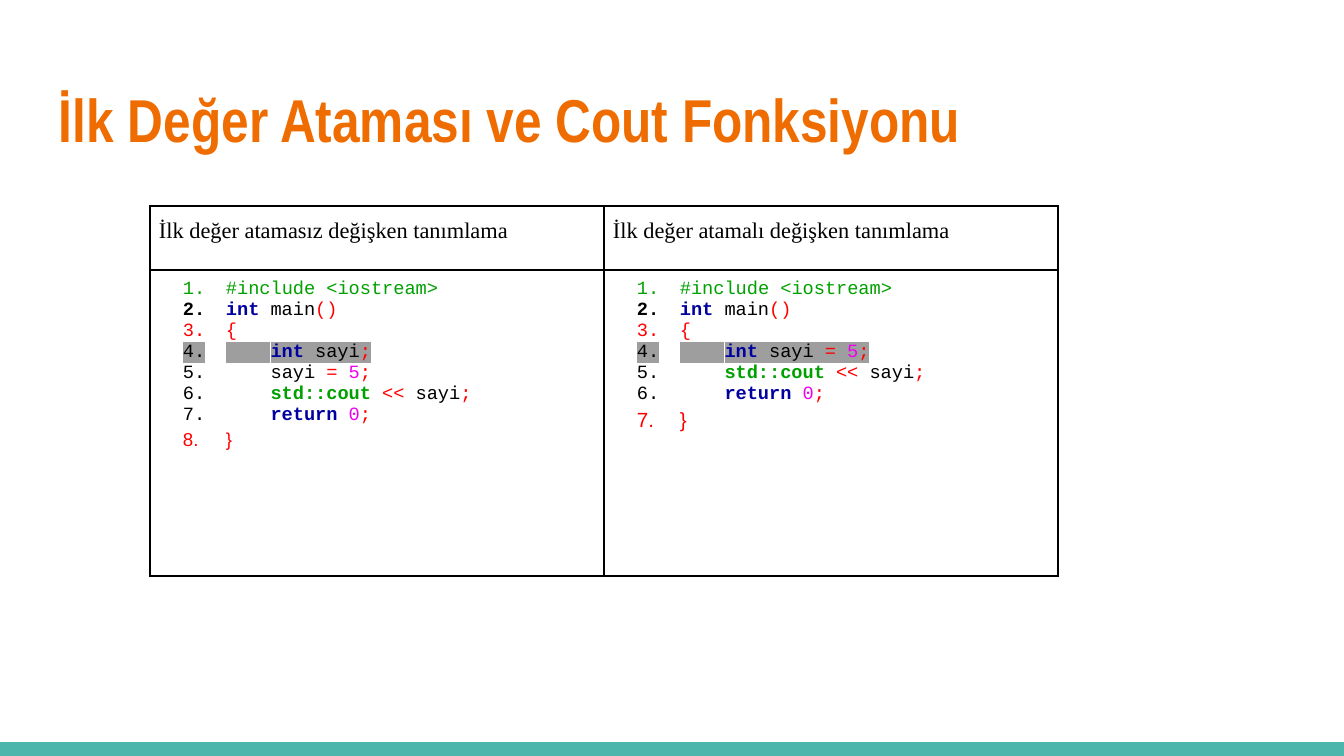
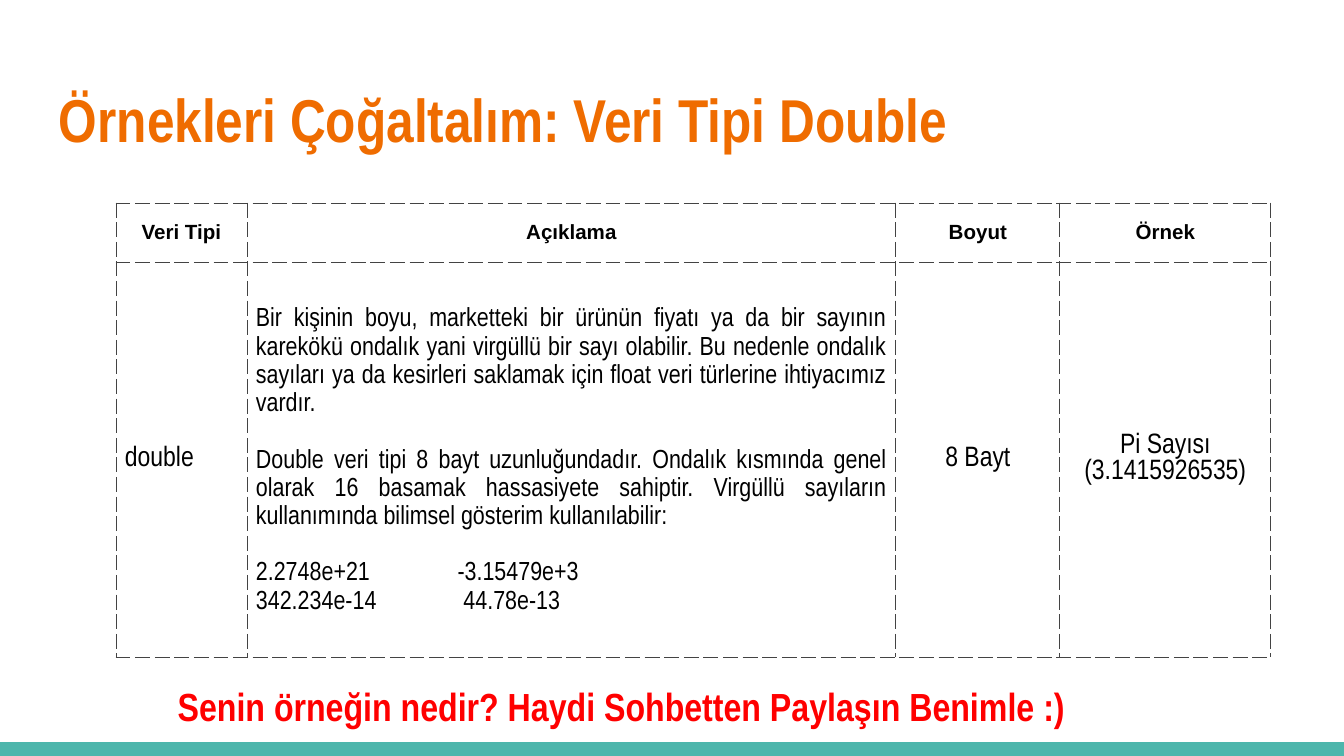
from lxml.etree import SubElement
from pptx import Presentation
from pptx.dml.color import RGBColor
from pptx.enum.shapes import MSO_SHAPE
from pptx.enum.text import MSO_ANCHOR as ANCHOR, MSO_AUTO_SIZE as AUTO_SIZE, PP_ALIGN as ALIGN
from pptx.oxml import parse_xml
from pptx.oxml.ns import nsdecls, qn
from pptx.util import Pt

PX = 6804  # EMU in one px; a slide is 1344 x 756 px
rgb = RGBColor.from_string

TEAL, ORANGE, RED, BLACK = "4DB6AC", "EF6C00", "FF0000", "000000"
GREEN, NAVY, MAGENTA, GREY = "00A000", "0000A0", "F000F0", "9E9E9E"
NARROW, SANS, SERIF, MONO = "Arial Narrow", "Arial", "Times New Roman", "Courier New"


def add_run(paragraph, text, font, size, colour=BLACK, bold=False, highlight=None):
    run = paragraph.add_run()
    run.text = text
    run.font.name, run.font.size, run.font.bold = font, Pt(size), bold
    run.font.color.rgb = rgb(colour)
    if highlight:
        run.font._element.find(qn("a:solidFill")).addnext(parse_xml(
            f'<a:highlight {nsdecls("a")}><a:srgbClr val="{highlight}"/></a:highlight>'))


def add_grid(slide, left, top, widths, heights, anchor, inset_y, line, points, dash):
    grid = slide.shapes.add_table(len(heights), len(widths), left * PX, top * PX,
                                  sum(widths) * PX, sum(heights) * PX).table
    grid.first_row = grid.horz_banding = False
    for column, width in zip(grid.columns, widths):
        column.width = width * PX
    for row, height in zip(grid.rows, heights):
        row.height = height * PX
    for cell in grid.iter_cells():
        cell.fill.background()
        cell.vertical_anchor = anchor
        cell.margin_left = cell.margin_right = 9 * PX
        cell.margin_top = cell.margin_bottom = inset_y * PX
        for place, side in enumerate("LRTB"):
            cell._tc.tcPr.insert(place, parse_xml(
                f'<a:ln{side} {nsdecls("a")} w="{Pt(points)}"><a:solidFill><a:srgbClr val="{line}"/>'
                f'</a:solidFill><a:prstDash val="{dash}"/></a:ln{side}>'))
    return grid


deck = Presentation()
deck.slide_width, deck.slide_height = 1344 * PX, 756 * PX

# Title and bottom band on every slide
slides = []
for heading in ("İlk Değer Ataması ve Cout Fonksiyonu", "Örnekleri Çoğaltalım: Veri Tipi Double"):
    slide = deck.slides.add_slide(deck.slide_layouts[5])
    band = slide.shapes.add_shape(MSO_SHAPE.RECTANGLE, 0, 742 * PX, 1344 * PX, 14 * PX)
    band.shadow.inherit = False
    band.fill.solid()
    band.fill.fore_color.rgb = rgb(TEAL)
    band.line.fill.background()

    title = slide.shapes.title
    title.left, title.top, title.width, title.height = 46 * PX, 66 * PX, 1253 * PX, 104 * PX
    frame = title.text_frame
    frame.auto_size, frame.vertical_anchor = AUTO_SIZE.NONE, ANCHOR.MIDDLE
    frame.margin_left = frame.margin_right = frame.margin_top = frame.margin_bottom = 13 * PX
    frame.paragraphs[0].alignment = ALIGN.LEFT
    add_run(frame.paragraphs[0], heading, NARROW, 32.4, ORANGE, True)
    slides.append(slide)
code_slide, double_slide = slides

# Slide 1: the same program with and without an initial value
plain, sign, number = (BLACK, False), (RED, False), (MAGENTA, False)
keyword, library, directive = (NAVY, True), (GREEN, True), (GREEN, False)
indent = ("    ", plain)
opening = [
    [("#include <iostream>", directive)],
    [("int ", keyword), ("main", plain), ("()", sign)],
    [("{", sign)],
]
closing = [
    [indent, ("std::cout ", library), ("<< ", sign), ("sayi", plain), (";", sign)],
    [indent, ("return ", keyword), ("0", number), (";", sign)],
    [("}", sign)],
]
without_value = [
    [indent, ("int ", keyword), ("sayi", plain), (";", sign)],
    [("    sayi ", plain), ("= ", sign), ("5", number), (";", sign)],
]
with_value = [
    [indent, ("int ", keyword), ("sayi ", plain), ("=", sign), (" ", plain),
     ("5", number), (";", sign)],
]
programs = [
    ("İlk değer atamasız değişken tanımlama", without_value, 10),
    ("İlk değer atamalı değişken tanımlama", with_value, 11),
]
listing = add_grid(code_slide, 150, 206, [454, 454], [64, 306], ANCHOR.TOP, 9, BLACK, 1, "solid")
for column, (caption, declaration, brace_size) in enumerate(programs):
    header = listing.cell(0, column).text_frame.paragraphs[0]
    header.alignment, header.line_spacing = ALIGN.JUSTIFY, 1.15
    add_run(header, caption, SERIF, 12)

    body = listing.cell(1, column).text_frame
    lines = opening + declaration + closing
    for index, tokens in enumerate(lines):
        paragraph = body.paragraphs[0] if index == 0 else body.add_paragraph()
        font, size = MONO, 10
        if index == len(lines) - 1:
            font, size = SANS, brace_size
            paragraph.alignment, paragraph.line_spacing = ALIGN.JUSTIFY, 1.15
        highlight = GREY if tokens is declaration[0] else None
        for text, (colour, bold) in tokens:
            add_run(paragraph, text, font, size, colour, bold, highlight)

        # Line number
        first_style = tokens[0][1]
        number_colour = BLACK if first_style is keyword else first_style[0]
        props = paragraph._p.get_or_add_pPr()
        props.set("marL", str(67 * PX))
        props.set("indent", str(-43 * PX))
        SubElement(SubElement(props, qn("a:buClr")), qn("a:srgbClr"), val=number_colour)
        SubElement(props, qn("a:buFont"), typeface=font)
        SubElement(props, qn("a:buAutoNum"), type="arabicPeriod")

# Slide 2: the double type
double_grid = add_grid(double_slide, 116, 203, [131, 649, 164, 211], [59, 395],
                       ANCHOR.MIDDLE, 0, "434343", 0.5, "dash")
for column, label in enumerate(("Veri Tipi", "Açıklama", "Boyut", "Örnek")):
    header = double_grid.cell(0, column).text_frame.paragraphs[0]
    header.alignment = ALIGN.CENTER
    add_run(header, label, SANS, 11, bold=True)

facts = [(0, "double", ALIGN.JUSTIFY), (2, "8 Bayt", ALIGN.CENTER),
         (3, "Pi Sayısı (3.1415926535)", ALIGN.CENTER)]
for column, text, alignment in facts:
    fact = double_grid.cell(1, column).text_frame.paragraphs[0]
    fact.alignment = alignment
    add_run(fact, text, NARROW, 15)

# Each part of the description with the space before it, in points
description = [
    ("Bir kişinin boyu, marketteki bir ürünün fiyatı ya da bir sayının karekökü ondalık yani "
     "virgüllü bir sayı olabilir. Bu nedenle ondalık sayıları ya da kesirleri saklamak için "
     "float veri türlerine ihtiyacımız vardır.", 0),
    ("Double veri tipi 8 bayt uzunluğundadır. Ondalık kısmında genel olarak 16 basamak "
     "hassasiyete sahiptir. Virgüllü sayıların kullanımında bilimsel gösterim "
     "kullanılabilir:", 15),
    ("2.2748e+21 \t\t-3.15479e+3", 15),
    ("342.234e-14 \t\t 44.78e-13", 0),
]
body = double_grid.cell(1, 1).text_frame
for index, (text, space) in enumerate(description):
    paragraph = body.paragraphs[0] if index == 0 else body.add_paragraph()
    paragraph.alignment, paragraph.line_spacing = ALIGN.JUSTIFY, 1.15
    paragraph.space_before = Pt(space)
    add_run(paragraph, text, NARROW, 14)

# Question to the audience
question = double_slide.shapes.add_textbox(105 * PX, 622 * PX, 1042 * PX, 120 * PX).text_frame
question.word_wrap, question.vertical_anchor = True, ANCHOR.BOTTOM
question.margin_left = question.margin_right = question.margin_top = question.margin_bottom = 13 * PX
paragraph = question.paragraphs[0]
paragraph.alignment, paragraph.line_spacing = ALIGN.CENTER, 1.15
add_run(paragraph, "Senin örneğin nedir? Haydi Sohbetten Paylaşın Benimle :) ", NARROW, 21, RED, True)

deck.save("out.pptx")
